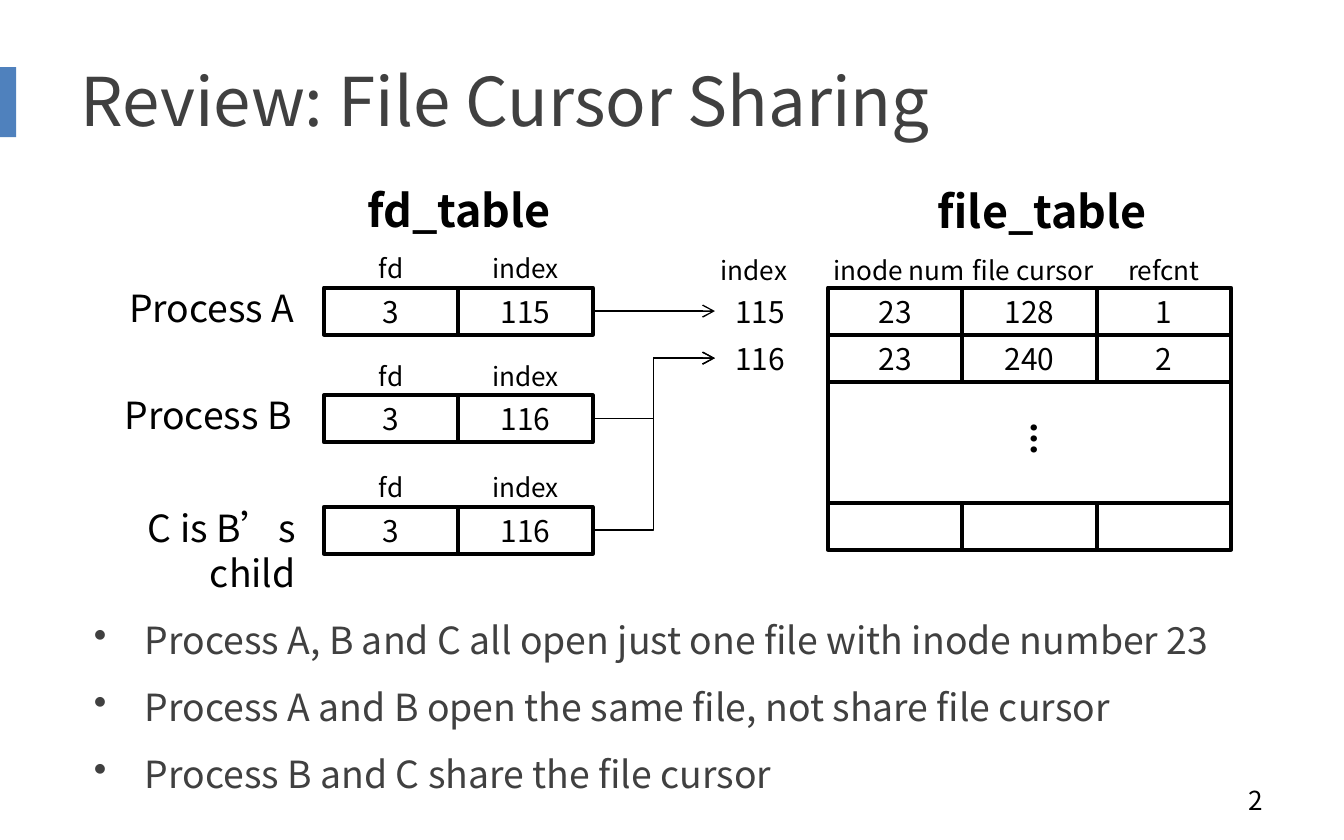
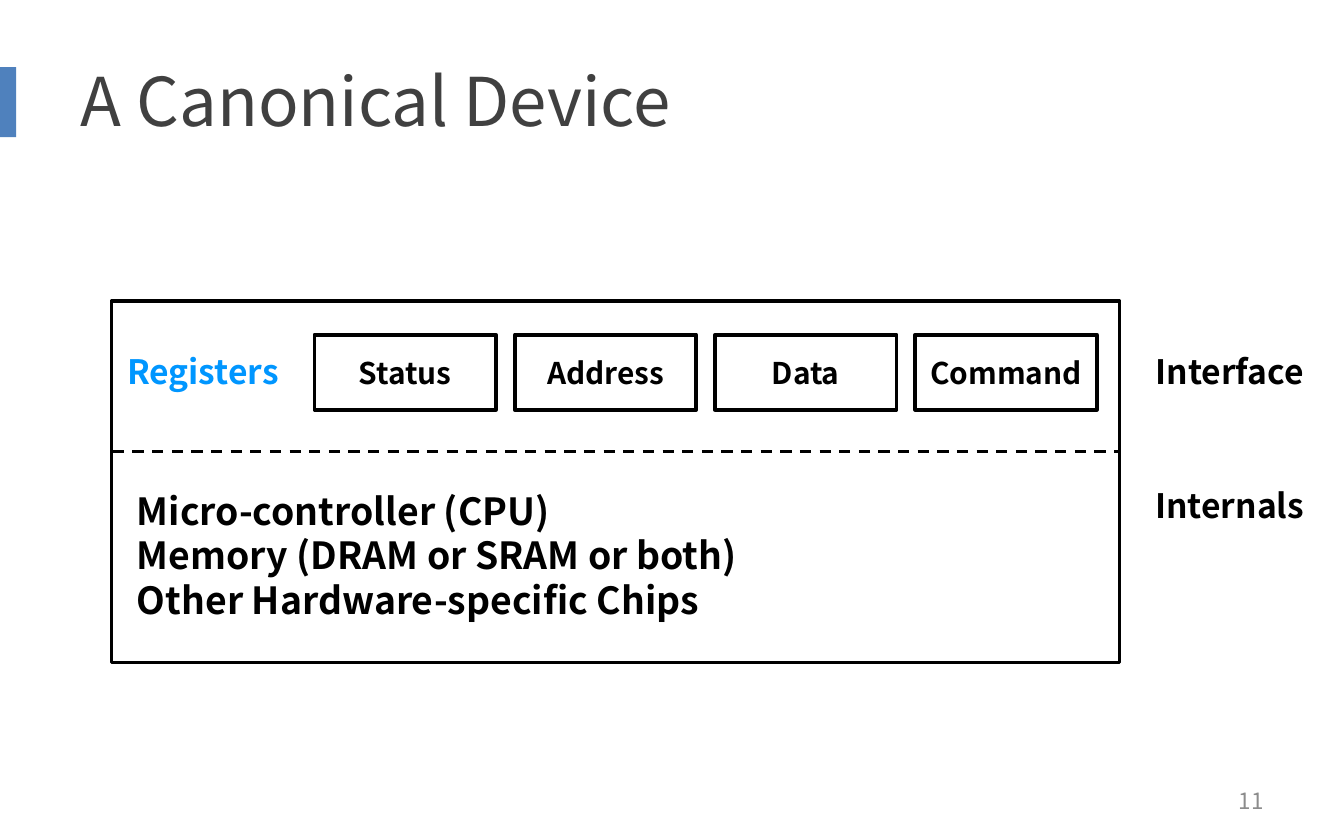
from dataclasses import dataclass

import pptx
import pptx.dml.color
import pptx.enum.dml
import pptx.enum.shapes
import pptx.enum.text
import pptx.oxml.ns
import pptx.presentation
import pptx.shapes.autoshape
import pptx.shapes.connector
import pptx.slide
import pptx.text.text
import pptx.util
from lxml import etree

Inches = pptx.util.Inches
Align = pptx.enum.text.PP_ALIGN
Anchor = pptx.enum.text.MSO_ANCHOR
Geometry = pptx.enum.shapes.MSO_SHAPE
Link = pptx.enum.shapes.MSO_CONNECTOR
qn = pptx.oxml.ns.qn

FONT = "Noto Sans CJK SC"
COLORS = {
    "ink": "000000",
    "heading": "404040",
    "accent": "4F81BD",
    "registers": "0096FF",
    "page": "8C8C8C",
}

CELL_WIDTH = 1.0
CELL_HEIGHT = 0.35
FD_LEFT = 2.41
FILE_LEFT = 6.16
INDEX_LEFT = 5.32
FIRST_ROW = 2.14
LAST_ROW = 3.74
REGISTER_PITCH = 1.49


@dataclass(frozen=True)
class Area:
    left: float
    top: float
    width: float
    height: float

    def lengths(self) -> tuple[pptx.util.Length, ...]:
        return tuple(Inches(n) for n in (self.left, self.top, self.width, self.height))


@dataclass(frozen=True)
class Process:
    label: str
    label_area: Area
    top: float
    index: str
    target_row: int


PROCESSES = [
    Process("Process A", Area(0.58, 2.07, 1.71, 0.44), 2.14, "115", 0),
    Process("Process B", Area(0.56, 2.87, 1.71, 0.44), 2.94, "116", 1),
    Process("C is B’s child", Area(0.33, 3.71, 1.97, 0.44), 3.77, "116", 1),
]
FILE_ROWS = [
    (FIRST_ROW, ["23", "128", "1"]),
    (FIRST_ROW + CELL_HEIGHT, ["23", "240", "2"]),
    (LAST_ROW, ["", "", ""]),
]


def rgb(color: str) -> pptx.dml.color.RGBColor:
    return pptx.dml.color.RGBColor.from_string(COLORS[color])


def add_bullet(para: pptx.text.text._Paragraph) -> None:
    properties = para._p.get_or_add_pPr()
    properties.set("marL", str(Inches(0.38)))
    properties.set("indent", str(-Inches(0.38)))
    etree.SubElement(properties, qn("a:buChar"), char="•")


def write(
    frame: pptx.text.text.TextFrame,
    text: str,
    *,
    size: float,
    color: str = "ink",
    bold: bool = False,
    align: Align = Align.LEFT,
    anchor: Anchor = Anchor.MIDDLE,
    bullet: bool = False,
    gap: float = 0,
) -> None:
    """Fill a frame with one paragraph per line of text."""
    frame.word_wrap = True
    frame.auto_size = pptx.enum.text.MSO_AUTO_SIZE.NONE
    frame.vertical_anchor = anchor
    for number, line in enumerate(text.split("\n")):
        para = frame.add_paragraph() if number else frame.paragraphs[0]
        if bullet:
            add_bullet(para)
        para.alignment = align
        if number and gap:
            para.space_before = pptx.util.Pt(gap)
        span = para.add_run()
        span.text = line
        span.font.name = FONT
        span.font.size = pptx.util.Pt(size)
        span.font.bold = bold
        span.font.color.rgb = rgb(color)


def add_text(
    slide: pptx.slide.Slide, area: Area, text: str, **text_format
) -> pptx.shapes.autoshape.Shape:
    box = slide.shapes.add_textbox(*area.lengths())
    write(box.text_frame, text, **text_format)
    return box


def add_box(
    slide: pptx.slide.Slide,
    area: Area,
    text: str = "",
    *,
    geometry: Geometry = Geometry.RECTANGLE,
    fill: str | None = None,
    outline: float = 2,
    bold: bool = False,
) -> None:
    box = slide.shapes.add_shape(geometry, *area.lengths())
    box.shadow.inherit = False
    if geometry == Geometry.ROUNDED_RECTANGLE:
        box.adjustments[0] = 0
    if fill:
        box.fill.solid()
        box.fill.fore_color.rgb = rgb(fill)
    else:
        box.fill.background()
    if outline:
        box.line.color.rgb = rgb("ink")
        box.line.width = pptx.util.Pt(outline)
    else:
        box.line.fill.background()
    if text:
        write(box.text_frame, text, size=16, bold=bold, align=Align.CENTER)


def add_cell(
    slide: pptx.slide.Slide, left: float, top: float, text: str, width: float = CELL_WIDTH,
    outline: float = 2,
) -> None:
    add_box(slide, Area(left, top, width, CELL_HEIGHT), text,
            geometry=Geometry.ROUNDED_RECTANGLE, outline=outline)


def add_line(
    slide: pptx.slide.Slide,
    start: tuple[float, float],
    end: tuple[float, float],
    *,
    kind: Link = Link.STRAIGHT,
    width: float = 2,
    dashed: bool = False,
    arrow: bool = False,
) -> None:
    line = slide.shapes.add_connector(kind, *(Inches(n) for n in (*start, *end)))
    line.line.color.rgb = rgb("ink")
    line.line.width = pptx.util.Pt(width)
    if dashed:
        line.line.dash_style = pptx.enum.dml.MSO_LINE.DASH
    properties = line._element.spPr
    if arrow:
        etree.SubElement(properties.find(qn("a:ln")), qn("a:tailEnd"), type="arrow")
    etree.SubElement(properties, qn("a:effectLst"))


def add_slide(
    deck: pptx.presentation.Presentation, title: str, page: str, **page_format
) -> pptx.slide.Slide:
    """Start a slide with the accent bar, title and page number."""
    slide = deck.slides.add_slide(deck.slide_layouts.get_by_name("Title Only"))
    add_box(slide, Area(-0.06, 0.5, 0.18, 0.52), fill="accent", outline=0)
    heading = slide.shapes.title
    heading.left, heading.top, heading.width, heading.height = Area(0.5, 0.25, 9, 0.98).lengths()
    write(heading.text_frame, title, size=36, color="heading")
    add_text(slide, Area(7.17, 5.79, 2.33, 0.33), page, align=Align.RIGHT, **page_format)
    return slide


def add_process(slide: pptx.slide.Slide, process: Process) -> None:
    """Draw a process label, its fd_table row and the arrow to file_table."""
    add_text(slide, process.label_area, process.label, size=20,
             align=Align.RIGHT, anchor=Anchor.TOP)
    for column, (name, value) in enumerate([("fd", "3"), ("index", process.index)]):
        left = FD_LEFT + column * CELL_WIDTH
        add_text(slide, Area(left + 0.12, process.top - 0.31, 0.76, 0.34), name,
                 size=14, align=Align.CENTER, anchor=Anchor.TOP)
        add_cell(slide, left, process.top, value)
    middle = CELL_HEIGHT / 2
    target = FIRST_ROW + process.target_row * CELL_HEIGHT + middle
    add_line(slide, (FD_LEFT + 2 * CELL_WIDTH, process.top + middle), (INDEX_LEFT, target),
             kind=Link.ELBOW, width=0.75, arrow=True)


def add_file_table(slide: pptx.slide.Slide) -> None:
    headers = [
        (5.23, 0.76, "index", Align.CENTER),
        (6.1, 1.18, "inode num", Align.LEFT),
        (7.14, 1.18, "file cursor", Align.LEFT),
        (8.07, 1.18, "refcnt", Align.CENTER),
    ]
    for left, width, name, align in headers:
        add_text(slide, Area(left, 1.84, width, 0.34), name, size=14,
                 align=align, anchor=Anchor.TOP)
    for top, values in FILE_ROWS:
        for column, value in enumerate(values):
            add_cell(slide, FILE_LEFT + column * CELL_WIDTH, top, value)
    for row, index in enumerate(["115", "116"]):
        add_cell(slide, INDEX_LEFT, FIRST_ROW + row * CELL_HEIGHT, index, width=0.67, outline=0)
    for edge in (FILE_LEFT, FILE_LEFT + 3 * CELL_WIDTH):
        add_line(slide, (edge, FIRST_ROW + 2 * CELL_HEIGHT), (edge, LAST_ROW))
    dots = add_text(slide, Area(7.53, 3.09, 0.49, 0.4), "...", size=18, bold=True,
                    anchor=Anchor.TOP)
    dots.rotation = 90


def build_cursor_sharing(deck: pptx.presentation.Presentation) -> None:
    slide = add_slide(deck, "Review: File Cursor Sharing", "2", size=14)
    for area, name in [(Area(2.08, 1.31, 2.67, 0.5), "fd_table"),
                       (Area(6.42, 1.32, 2.67, 0.5), "file_table")]:
        add_text(slide, area, name, size=24, bold=True, align=Align.CENTER, anchor=Anchor.TOP)
    add_file_table(slide)
    for process in PROCESSES:
        add_process(slide, process)
    add_text(
        slide, Area(0.6, 4.54, 9.08, 1.29),
        "Process A, B and C all open just one file with inode number 23\n"
        "Process A and B open the same file, not share file cursor\n"
        "Process B and C share the file cursor",
        size=20, color="heading", anchor=Anchor.TOP, bullet=True, gap=12,
    )


def build_canonical_device(deck: pptx.presentation.Presentation) -> None:
    slide = add_slide(deck, "A Canonical Device", "11", size=12, color="page")
    add_box(slide, Area(0.83, 2.24, 7.5, 2.69))
    add_line(slide, (0.84, 3.36), (8.32, 3.36), width=1.5, dashed=True)
    for number, register in enumerate(["Status", "Address", "Data", "Command"]):
        add_box(slide, Area(2.34 + number * REGISTER_PITCH, 2.49, 1.35, 0.56),
                register, bold=True)
    for left, top, label, color in [
        (0.84, 2.48, "Registers", "registers"),
        (8.48, 2.48, "Interface", "ink"),
        (8.48, 3.48, "Internals", "ink"),
    ]:
        add_text(slide, Area(left, top, 1.34, 0.56), label, size=18, color=color,
                 bold=True, align=Align.CENTER)
    add_text(
        slide, Area(0.92, 3.48, 7.24, 1.3),
        "Micro-controller (CPU)\nMemory (DRAM or SRAM or both)\nOther Hardware-specific Chips",
        size=20, bold=True,
    )


def main() -> None:
    deck = pptx.Presentation()
    deck.slide_width = Inches(10)
    deck.slide_height = Inches(6.25)
    build_cursor_sharing(deck)
    build_canonical_device(deck)
    deck.save("out.pptx")


if __name__ == "__main__":
    main()
